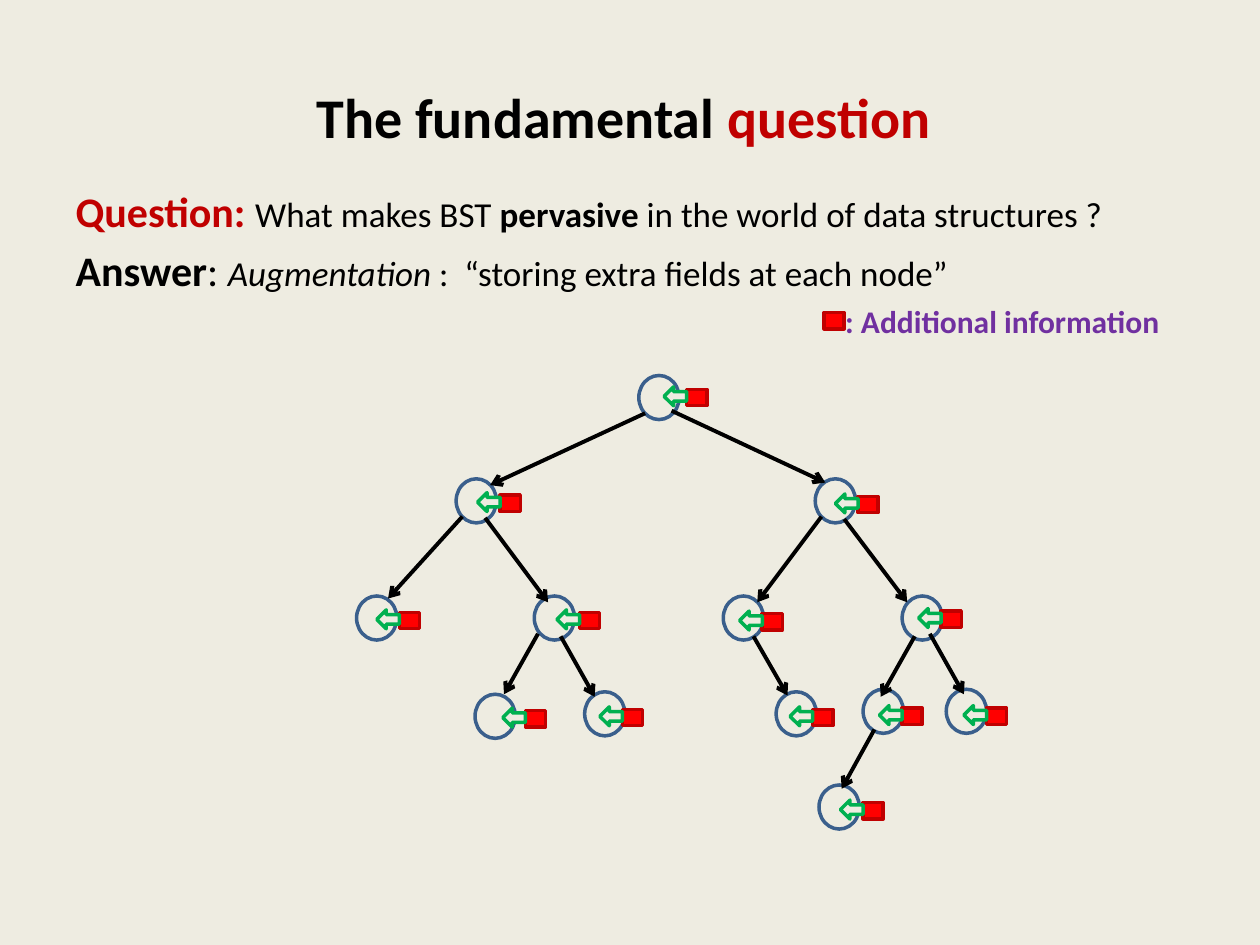
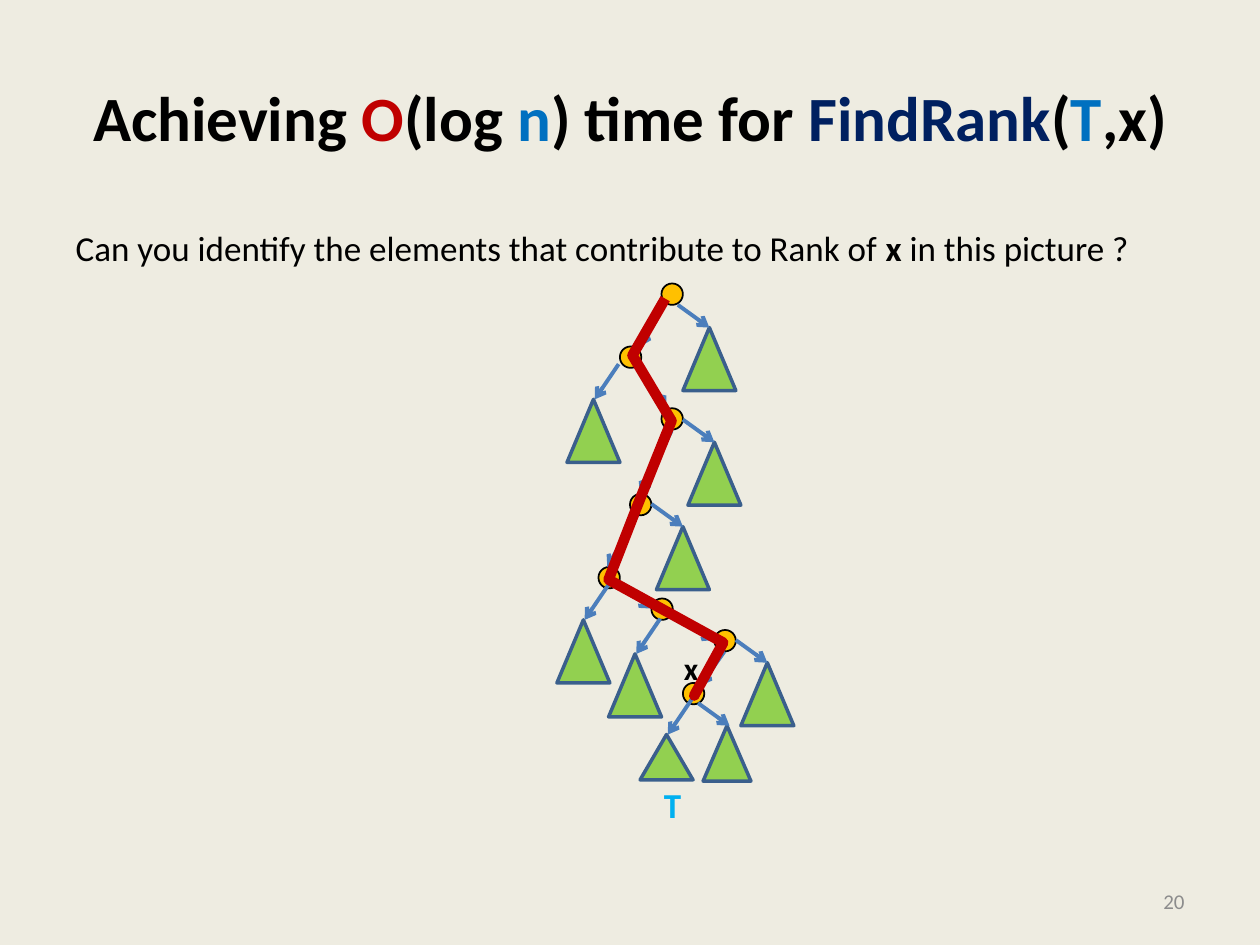
from dataclasses import dataclass
from lxml.etree import SubElement
from pptx import Presentation
from pptx.dml.color import RGBColor as Rgb
from pptx.enum.shapes import MSO_CONNECTOR as Link, MSO_SHAPE as Kind
from pptx.enum.text import MSO_ANCHOR as Anchor, MSO_AUTO_SIZE as Fit, PP_ALIGN as Align
from pptx.oxml.ns import qn
from pptx.util import Inches, Pt

FONT = "Calibri"
HUES = {
    "paper": "EEECE1", "ink": "000000", "red": "C00000", "tag": "FF0000",
    "green": "00B050", "ring": "3A5F8C", "leaf": "92D050", "gold": "FFC000",
    "arrow": "4B7EBC", "blue": "0070C0", "navy": "002060", "sky": "00B0F0",
    "violet": "7030A0", "grey": "8C8C8C",
}


@dataclass
class Piece:
    text: str
    size: float
    hue: str = "ink"
    bold: bool = False
    slant: bool = False


@dataclass
class Box:
    left: float
    top: float
    width: float
    height: float

    def span(self) -> list:
        return [Inches(v) for v in (self.left, self.top, self.width, self.height)]


@dataclass
class Style:
    kind: Kind
    fill: str
    line: str
    weight: float
    turn: float = 0


@dataclass
class Node:
    """A tree node and the place of the arrow that tags it."""
    left: float
    top: float
    tag_x: float
    tag_y: float


@dataclass
class Edge:
    x1: float
    y1: float
    x2: float
    y2: float


@dataclass
class Branch:
    """A subtree triangle that hangs on one side of the path."""
    left: float
    top: float
    side: str
    width: float = 0.42
    height: float = 0.5


RING = Style(Kind.OVAL, "paper", "ring", 2)
FIELD = Style(Kind.RECTANGLE, "tag", "red", 2)
POINTER = Style(Kind.RIGHT_ARROW, "paper", "green", 2, 180)
DOT = Style(Kind.OVAL, "gold", "ink", 1)
TREE = Style(Kind.ISOSCELES_TRIANGLE, "leaf", "ring", 2)


# Shared helpers
def color(hue: str) -> Rgb:
    return Rgb.from_string(HUES[hue])


def write(para, pieces: list[Piece]) -> None:
    for piece in pieces:
        run = para.add_run()
        run.text = piece.text
        font = run.font
        font.name, font.size = FONT, Pt(piece.size)
        font.bold, font.italic = piece.bold, piece.slant
        font.color.rgb = color(piece.hue)


def place(shape, box: Box) -> None:
    shape.left, shape.top, shape.width, shape.height = box.span()


def page(deck, title: list[Piece], body: Box, lines: list[list[Piece]]):
    slide = deck.slides.add_slide(deck.slide_layouts[1])
    head, text = slide.placeholders
    place(head, Box(0.5, 0.3, 9, 1.25))
    write(head.text_frame.paragraphs[0], title)
    place(text, body)
    frame = text.text_frame
    frame.auto_size = Fit.NONE
    for i, line in enumerate(lines):
        para = frame.add_paragraph() if i else frame.paragraphs[0]
        props = para._p.get_or_add_pPr()
        props.set("marL", "0")
        props.set("indent", "0")
        SubElement(props, qn("a:buNone"))
        write(para, line)
    return slide


def label(slide, box: Box, piece: Piece, wrap: bool = False):
    frame = slide.shapes.add_textbox(*box.span()).text_frame
    frame.word_wrap = wrap
    write(frame.paragraphs[0], [piece])
    return frame


def draw(slide, style: Style, box: Box) -> None:
    shape = slide.shapes.add_shape(style.kind, *box.span())
    shape.shadow.inherit = False
    shape.fill.solid()
    shape.fill.fore_color.rgb = color(style.fill)
    shape.line.color.rgb = color(style.line)
    shape.line.width = Pt(style.weight)
    shape.rotation = style.turn


def join(slide, edge: Edge, hue: str) -> None:
    ends = [Inches(v) for v in (edge.x1, edge.y1, edge.x2, edge.y2)]
    link = slide.shapes.add_connector(Link.STRAIGHT, *ends)
    link.line.color.rgb = color(hue)
    link.line.width = Pt(2.25)
    props = link._element.spPr
    SubElement(props.find(qn("a:ln")), qn("a:tailEnd"), type="arrow")
    SubElement(props, qn("a:effectLst"))


def field(slide, left: float, top: float) -> None:
    draw(slide, FIELD, Box(left, top, 0.16, 0.13))


def hang(slide, branch: Branch) -> None:
    x, y = branch.left, branch.top
    draw(slide, TREE, Box(x, y, branch.width, branch.height))
    if branch.side == "left":
        edge = Edge(x + 0.41, y - 0.28, x + 0.22, y)
    else:
        edge = Edge(x - 0.04, y - 0.18, x + 0.21, y)
    join(slide, edge, "arrow")


deck = Presentation()
deck.slide_width, deck.slide_height = Inches(10), Inches(7.5)
back = deck.slide_master.background.fill
back.solid()
back.fore_color.rgb = color("paper")

# Slide 1: tree whose nodes hold extra fields
first = page(
    deck,
    [Piece("The fundamental ", 32, bold=True), Piece("question ", 32, "red", True)],
    Box(0.5, 1.42, 9, 5.28),
    [
        [Piece("Question: ", 24, "red", True), Piece("What makes BST ", 20),
         Piece("pervasive", 20, bold=True),
         Piece(" in the world of data structures ?", 20)],
        [Piece("Answer", 24, bold=True), Piece(": ", 24),
         Piece("Augmentation", 20, slant=True),
         Piece(" :  “storing extra fields at each node”", 20)],
    ],
)
NODES = [
    Node(5.07, 2.98, 5.27, 3.07),
    Node(3.62, 3.8, 3.79, 3.91), Node(6.47, 3.8, 6.63, 3.92),
    Node(2.83, 4.73, 2.99, 4.84), Node(4.24, 4.73, 4.42, 4.84),
    Node(5.74, 4.73, 5.87, 4.85), Node(7.16, 4.73, 7.29, 4.83),
    Node(3.77, 5.51, 3.99, 5.62), Node(4.64, 5.49, 4.76, 5.61),
    Node(6.16, 5.49, 6.27, 5.61), Node(6.85, 5.47, 6.98, 5.6),
    Node(7.51, 5.47, 7.65, 5.6), Node(6.5, 6.23, 6.67, 6.35),
]
EDGES = [
    Edge(5.12, 3.28, 3.89, 3.85), Edge(5.33, 3.26, 6.55, 3.83),
    Edge(3.67, 4.1, 3.08, 4.75), Edge(3.85, 4.11, 4.35, 4.78),
    Edge(6.52, 4.1, 6.01, 4.78), Edge(6.7, 4.12, 7.2, 4.78),
    Edge(4.27, 5.03, 4, 5.51), Edge(4.45, 5.05, 4.72, 5.53),
    Edge(5.98, 5.05, 6.25, 5.52), Edge(7.26, 5.05, 6.99, 5.53),
    Edge(7.38, 5.03, 7.65, 5.51), Edge(6.94, 5.79, 6.68, 6.26),
]
for node in NODES:
    draw(first, RING, Box(node.left, node.top, 0.32, 0.35))
for edge in EDGES:
    join(first, edge, "ink")
for node in NODES:
    field(first, node.tag_x + 0.18, node.tag_y + 0.02)
    draw(first, POINTER, Box(node.tag_x, node.tag_y, 0.18, 0.15))

# Key to the red fields
label(first, Box(6.61, 2.35, 2.72, 0.4),
      Piece(": Additional information", 18, "violet", True))
field(first, 6.54, 2.48)

# Slide 2: search path to x
second = page(
    deck,
    [Piece(text, 36, hue, True) for text, hue in (
        ("Achieving ", "ink"), ("O", "red"), ("(log ", "ink"), ("n", "blue"),
        (") time for ", "ink"), ("FindRank", "navy"), ("(", "ink"),
        ("T", "blue"), (",x)", "ink"))],
    Box(0.5, 1.75, 9, 4.95),
    [[Piece("Can you identify the elements that contribute to Rank of ", 20),
      Piece("x", 20, bold=True), Piece(" in this picture ?", 20)]],
)
number = label(second, Box(7.17, 6.95, 2.33, 0.4), Piece("20", 12, "grey"), True)
number.vertical_anchor = Anchor.MIDDLE
number.paragraphs[0].alignment = Align.RIGHT
label(second, Box(5.17, 6.17, 0.34, 0.44), Piece("T", 20, "sky", True))

# Nodes, steps and subtrees
DOTS = [(5.25, 2.25), (4.92, 2.75), (5.25, 3.24), (5, 3.92),
        (4.75, 4.5), (5.17, 4.75), (5.67, 5), (5.42, 5.42)]
STEPS = [
    Edge(5.27, 2.39, 5.08, 2.75), Edge(5.06, 2.89, 5.29, 3.24),
    Edge(5.33, 3.42, 5.08, 3.92), Edge(5.06, 4.08, 4.82, 4.5),
    Edge(4.92, 4.65, 5.17, 4.83), Edge(5.33, 4.9, 5.67, 5.08),
    Edge(5.75, 5.17, 5.56, 5.44),
]
BRANCHES = [
    Branch(4.5, 3.17, "left"), Branch(4.42, 4.92, "left"),
    Branch(4.83, 5.19, "left"), Branch(5.42, 2.6, "right"),
    Branch(5.88, 5.26, "right"), Branch(5.46, 3.51, "right"),
    Branch(5.21, 4.18, "right"), Branch(5.58, 5.76, "right", 0.38, 0.44),
    Branch(5.08, 5.83, "left", 0.42, 0.36),
]
for x, y in DOTS:
    draw(second, DOT, Box(x, y, 0.17, 0.17))
for step in STEPS:
    join(second, step, "arrow")
for branch in BRANCHES:
    hang(second, branch)
label(second, Box(5.33, 5.1, 0.32, 0.4), Piece("x", 18, bold=True))

# Red route over the path
ROUTE = [(5.28, 2.37), (5.02, 2.82), (5.33, 3.34), (5.06, 4.01),
         (4.83, 4.6), (5.74, 5.1), (5.51, 5.52), (5.52, 5.51)]
start, *rest = [(Inches(x), Inches(y)) for x, y in ROUTE]
pen = second.shapes.build_freeform(*start)
pen.add_line_segments(rest, close=False)
route = pen.convert_to_shape()
route.shadow.inherit = False
route.fill.background()
route.line.color.rgb = color("red")
route.line.width = Pt(6)

deck.save("out.pptx")
